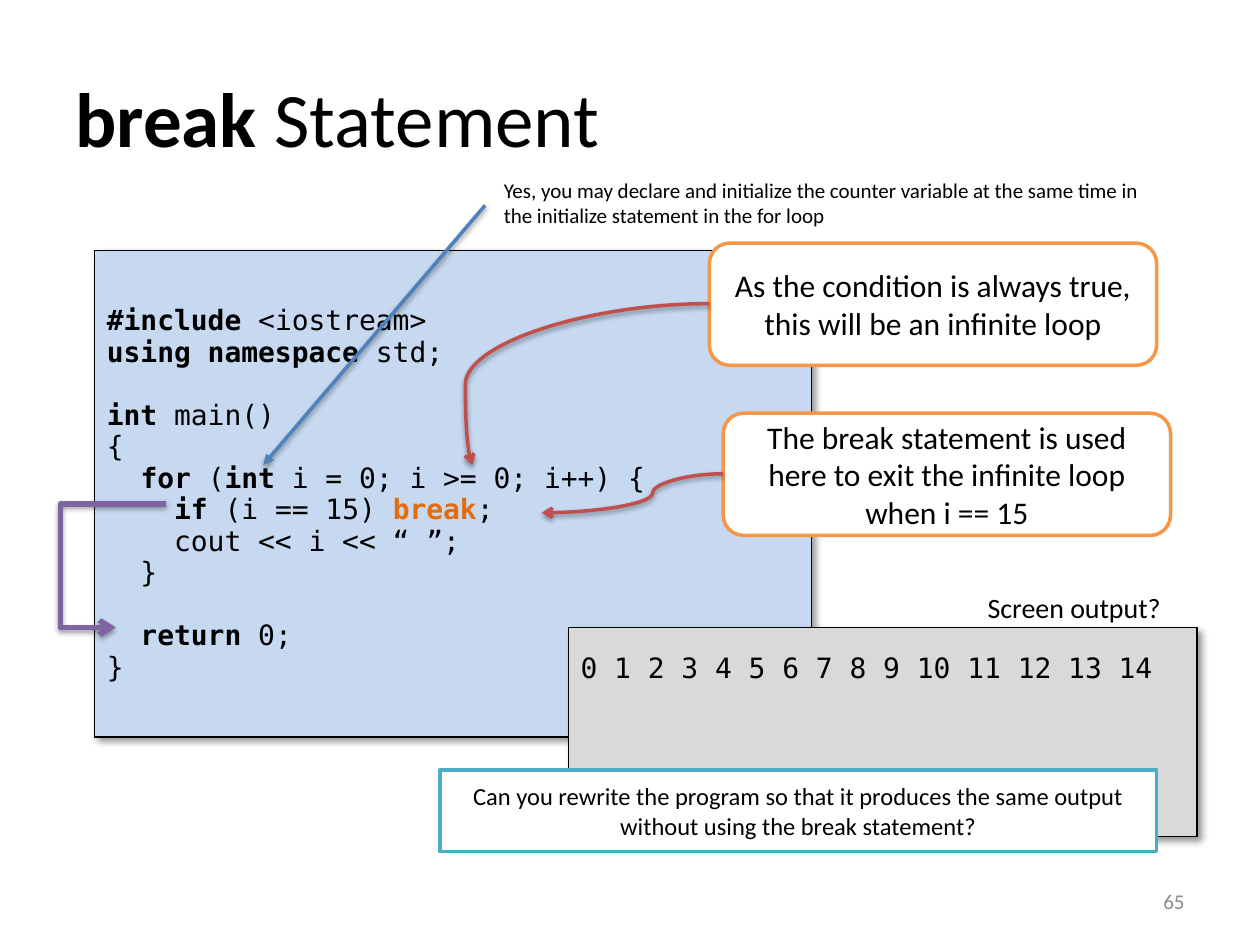
import pptx
import pptx.dml.color
import pptx.enum.shapes
import pptx.enum.text
import pptx.oxml
import pptx.oxml.ns
import pptx.util
from pptx.util import Inches

RGBColor = pptx.dml.color.RGBColor
SHAPE = pptx.enum.shapes.MSO_SHAPE
CONNECTOR = pptx.enum.shapes.MSO_CONNECTOR
ALIGN = pptx.enum.text.PP_ALIGN
ANCHOR = pptx.enum.text.MSO_ANCHOR

BLACK = RGBColor(0x00, 0x00, 0x00)
WHITE = RGBColor(0xFF, 0xFF, 0xFF)
GRAY = RGBColor(0x8C, 0x8C, 0x8C)
CODE_FILL = RGBColor(0xC6, 0xD9, 0xF1)
OUTPUT_FILL = RGBColor(0xD9, 0xD9, 0xD9)
KEYWORD_ORANGE = RGBColor(0xE4, 0x6C, 0x0A)
ORANGE = RGBColor(0xF7, 0x96, 0x46)
RED = RGBColor(0xC0, 0x50, 0x4D)
PURPLE = RGBColor(0x80, 0x64, 0xA2)
TEAL = RGBColor(0x4B, 0xAC, 0xC6)
BLUE = RGBColor(0x4F, 0x81, 0xBD)

BODY_FONT = "Calibri"
CODE_FONT = "DejaVu Sans Mono"

PROGRAM = """*#include* <iostream>
*using namespace *std;
 
*int* main()
{
  *for *(*int *i = 0; i >= 0; i++) {
*    if* (i == 15) *break*;
    cout << i << “ ”;
  }

*  return* 0;
}"""


def write(holder, text, size=18, font=BODY_FONT, color=BLACK, align=ALIGN.LEFT,
          anchor=ANCHOR.MIDDLE, spacing=None, accents=None, wrap=True):
    """Fill a shape with lines of text, where asterisks switch bold on and off."""
    frame = holder.text_frame
    frame.word_wrap = wrap
    frame.vertical_anchor = anchor
    for index, line in enumerate(text.split("\n")):
        paragraph = frame.paragraphs[0] if index == 0 else frame.add_paragraph()
        paragraph.alignment = align
        paragraph.font.size = pptx.util.Pt(size)
        if spacing:
            paragraph.line_spacing = pptx.util.Pt(spacing)
        for position, piece in enumerate(line.split("*")):
            if piece:
                run = paragraph.add_run()
                run.text = piece
                run.font.name = font
                run.font.size = pptx.util.Pt(size)
                run.font.bold = position % 2 == 1
                run.font.color.rgb = (accents or {}).get(piece, color)


def add_shadow(part, alpha, blur, distance, angle):
    """Give a shape or connector a soft black outer shadow."""
    namespace = pptx.oxml.ns.nsdecls("a")
    part._element.spPr.append(pptx.oxml.parse_xml(
        f'<a:effectLst {namespace}><a:outerShdw blurRad="{pptx.util.Pt(blur)}" '
        f'dist="{pptx.util.Pt(distance)}" dir="{angle * 60000}" algn="tl" rotWithShape="0">'
        f'<a:srgbClr val="000000"><a:alpha val="{alpha * 1000}"/></a:srgbClr>'
        '</a:outerShdw></a:effectLst>'))


def add_label(slide, box, text, **text_format):
    """Add a plain text box."""
    label = slide.shapes.add_textbox(*map(Inches, box))
    write(label, text, **text_format)


def add_panel(slide, box, text, fill, outline, width=2, kind=SHAPE.RECTANGLE,
              shadow=False, inset_top=0.05, **text_format):
    """Add a filled and outlined box with text."""
    panel = slide.shapes.add_shape(kind, *map(Inches, box))
    panel.fill.solid()
    panel.fill.fore_color.rgb = fill
    panel.line.color.rgb = outline
    panel.line.width = pptx.util.Pt(width)
    panel.text_frame.margin_top = Inches(inset_top)
    if shadow:
        add_shadow(panel, 40, 4, 3, 45)
    else:
        panel.shadow.inherit = False
    write(panel, text, **text_format)


def add_arrow(slide, start, end, color, kind=CONNECTOR.CURVE, width=2, bend=None,
              arrowhead="arrow", arrow_end="tailEnd"):
    """Add a shadowed connector, with its bend as a share of its width."""
    arrow = slide.shapes.add_connector(kind, *map(Inches, (*start, *end)))
    arrow.line.color.rgb = color
    arrow.line.width = pptx.util.Pt(width)
    namespace = pptx.oxml.ns.nsdecls("a")
    arrow.line._get_or_add_ln().append(
        pptx.oxml.parse_xml(f'<a:{arrow_end} {namespace} type="{arrowhead}"/>'))
    if bend is not None:
        adjustments = arrow._element.spPr.find(".//" + pptx.oxml.ns.qn("a:avLst"))
        adjustments.append(pptx.oxml.parse_xml(
            f'<a:gd {namespace} name="adj1" fmla="val {round(bend * 100000)}"/>'))
    add_shadow(arrow, 38, 3.1, 1.6, 90)


def main():
    """Build the slide about the break statement."""
    deck = pptx.Presentation()
    deck.slide_width, deck.slide_height = Inches(10), Inches(7.5)
    slide = deck.slides.add_slide(deck.slide_layouts[6])

    add_label(slide, (0.5, 0.3, 9, 1.25), "*break* Statement", size=44)
    add_panel(slide, (0.75, 1.99, 5.69, 3.86), PROGRAM, CODE_FILL, BLACK, width=0.75,
              shadow=True, size=16, font=CODE_FONT, spacing=18,
              accents={"break": KEYWORD_ORANGE})

    remarks = [
        (5.63, 1.93, "As the condition is always true, this will be an infinite loop"),
        (5.74, 3.28, "The break statement is used here to exit the infinite loop when i == 15"),
    ]
    for left, top, remark in remarks:
        add_panel(slide, (left, top, 3.55, 0.97), remark, WHITE, ORANGE,
                  kind=SHAPE.ROUNDED_RECTANGLE, align=ALIGN.CENTER)
    add_arrow(slide, (5.63, 2.41), (3.75, 3.69), RED, bend=1.03)
    add_arrow(slide, (5.74, 3.76), (4.3, 4.07), RED, bend=0.39)

    add_label(slide, (7.17, 6.95, 2.33, 0.4), "65", size=12, color=GRAY, align=ALIGN.RIGHT)
    add_panel(slide, (4.51, 4.98, 4.99, 1.66), "0 1 2 3 4 5 6 7 8 9 10 11 12 13 14",
              OUTPUT_FILL, BLACK, width=0.75, shadow=True, inset_top=0.18,
              size=16, font=CODE_FONT, anchor=ANCHOR.TOP)
    add_label(slide, (7.74, 4.64, 1.76, 0.34), "Screen output?", size=16,
              anchor=ANCHOR.TOP, wrap=False)
    add_arrow(slide, (1.32, 4), (0.92, 4.98), PURPLE, kind=CONNECTOR.ELBOW, width=3, bend=2.1)
    add_panel(slide, (3.49, 6.11, 5.69, 0.65),
              "Can you rewrite the program so that it produces the same output "
              "without using the break statement?",
              WHITE, TEAL, size=14, align=ALIGN.CENTER)

    add_arrow(slide, (2.09, 3.69), (3.85, 1.63), BLUE, kind=CONNECTOR.STRAIGHT,
              arrowhead="triangle", arrow_end="headEnd")
    add_label(slide, (3.9, 1.36, 5.39, 0.5),
              "Yes, you may declare and initialize the counter variable at the same time in "
              "the initialize statement in the for loop", size=12, anchor=ANCHOR.TOP)
    deck.save("out.pptx")


if __name__ == "__main__":
    main()
